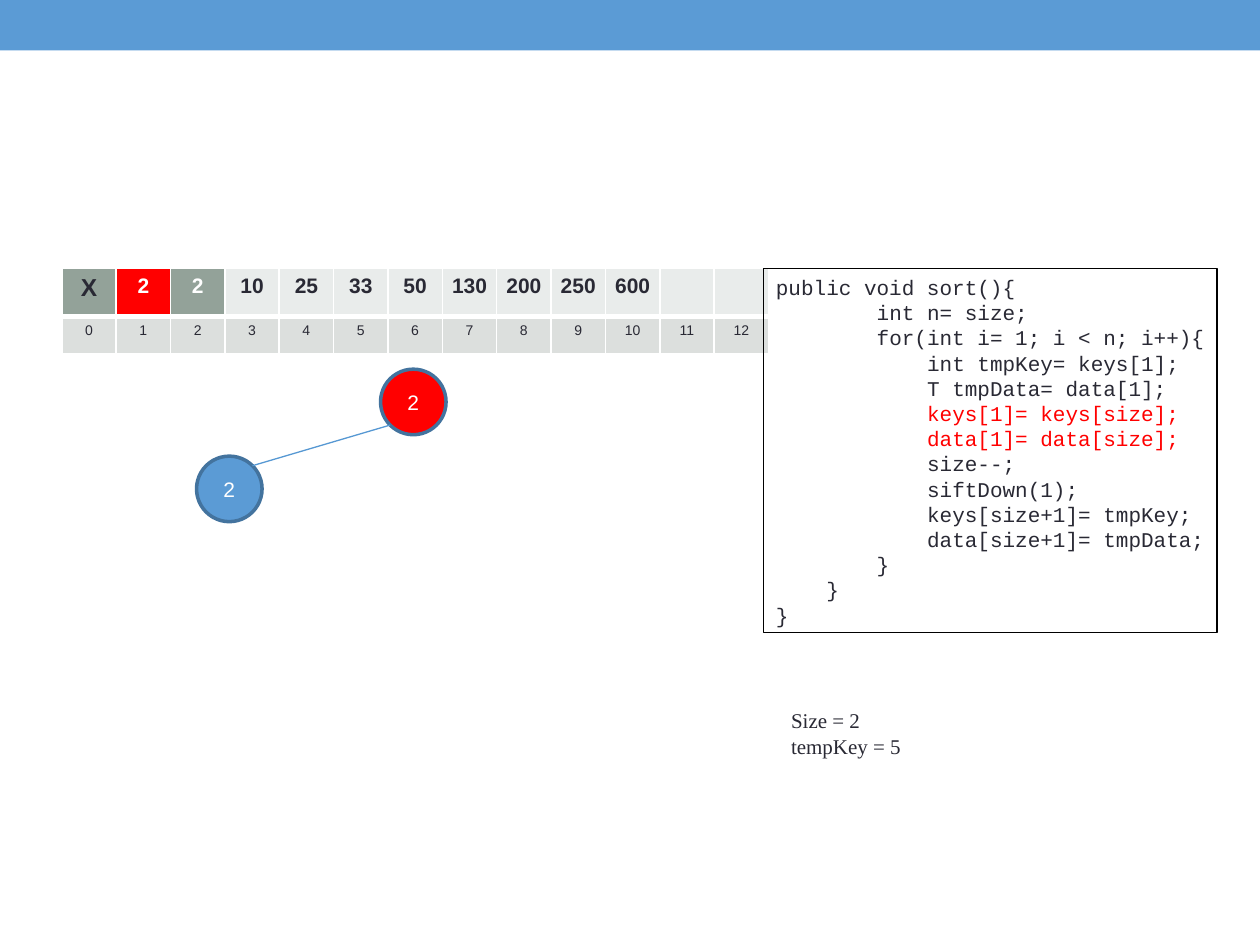
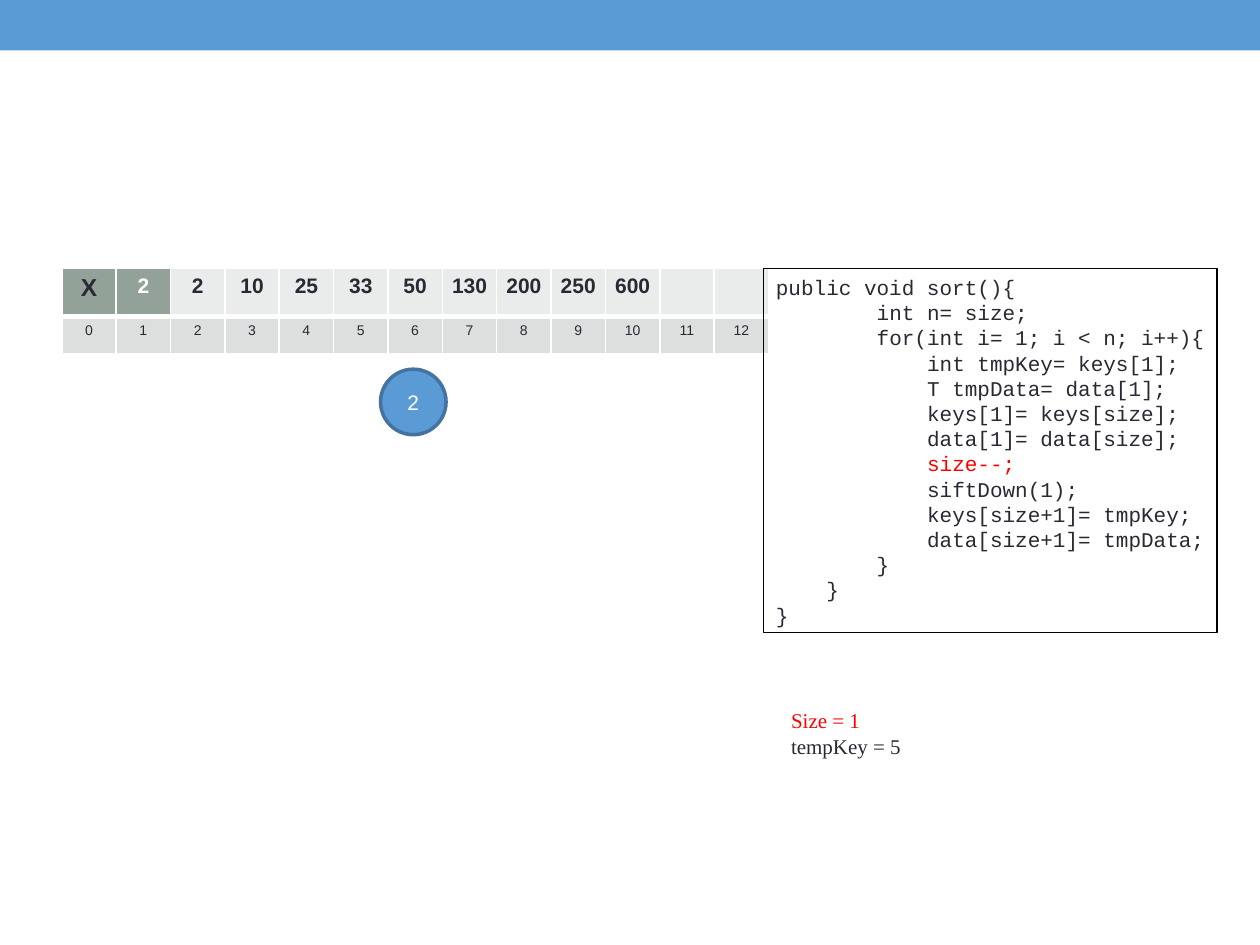
"""Build two slides that step through the last swap of a heap sort."""
import dataclasses
import math

import lxml.etree
import pptx
import pptx.dml.color
import pptx.enum.shapes
import pptx.enum.text
import pptx.oxml.ns
import pptx.util

SHAPE = pptx.enum.shapes.MSO_SHAPE
ALIGN = pptx.enum.text.PP_ALIGN
MID = pptx.enum.text.MSO_ANCHOR.MIDDLE
TOP = pptx.enum.text.MSO_ANCHOR.TOP


@dataclasses.dataclass(frozen=True)
class Theme:
    blue: str = "5B9BD5"
    rim: str = "43739E"
    edge: str = "5698D3"
    red: str = "FF0000"
    ink: str = "292934"
    white: str = "FFFFFF"
    black: str = "000000"
    heap: str = "93A299"
    pale: str = "E9ECEB"
    grey: str = "DCDFDD"
    sans: str = "Arial"
    mono: str = "Courier New"
    serif: str = "Times New Roman"
    large: float = 14
    base: float = 12
    small: float = 8
    lead: float = 14.4
    thin: float = 0.75
    rule: float = 0.96
    thick: float = 3


COLS, ROWS = 100, 75
NODE = 5.2
ROOT = (30.2, 29.3)
CHILD = (15.6, 36.2)
KEYS = "X 2 2 10 25 33 50 130 200 250 600".split() + ["", ""]
CODE = [
    (0, "public void sort(){"),
    (8, "int n= size;"),
    (8, "for(int i= 1; i < n; i++){"),
    (12, "int tmpKey= keys[1];"),
    (12, "T tmpData= data[1];"),
    (12, "keys[1]= keys[size];"),
    (12, "data[1]= data[size];"),
    (12, "size--;"),
    (12, "siftDown(1);"),
    (12, "keys[size+1]= tmpKey;"),
    (12, "data[size+1]= tmpData;"),
    (8, "}"),
    (4, "}"),
    (0, "}"),
]


def tint(code):
    return pptx.dml.color.RGBColor.from_string(code)


class Deck:
    def __init__(self, theme):
        self.theme = theme
        self.show = pptx.Presentation()
        self.show.slide_width = pptx.util.Inches(10)
        self.show.slide_height = pptx.util.Inches(7.5)
        self.slide = None

    def grid(self, *spans):
        units = self.show.slide_width / COLS, self.show.slide_height / ROWS
        return [round(span * units[i % 2]) for i, span in enumerate(spans)]

    def page(self):
        self.slide = self.show.slides.add_slide(self.show.slide_layouts[6])
        self.shape(SHAPE.RECTANGLE, (0, 0, COLS, 4), self.theme.blue)

    def shape(self, kind, spot, fill=None, line=None, width=0):
        item = self.slide.shapes.add_shape(kind, *self.grid(*spot))
        item.shadow.inherit = False
        if fill:
            item.fill.solid()
            item.fill.fore_color.rgb = tint(fill)
        else:
            item.fill.background()
        if line:
            item.line.color.rgb = tint(line)
            item.line.width = pptx.util.Pt(width)
        else:
            item.line.fill.background()
        return item

    def run(self, para, text, face, size, hue, bold=False):
        run = para.add_run()
        run.text = text
        run.font.name = face
        run.font.size = pptx.util.Pt(size)
        run.font.bold = bold
        run.font.color.rgb = tint(hue)

    def lines(self, item, rows, face, hot):
        frame = item.text_frame
        frame.word_wrap = True
        frame.margin_right = 0
        frame.vertical_anchor = TOP
        for i, (dent, text) in enumerate(rows):
            para = frame.add_paragraph() if i else frame.paragraphs[0]
            para.alignment = ALIGN.LEFT
            para.line_spacing = pptx.util.Pt(self.theme.lead)
            para._p.get_or_add_pPr().set("marL", str(self.grid(dent)[0]))
            hue = self.theme.red if i in hot else self.theme.ink
            self.run(para, text, face, self.theme.base, hue)

    def code(self, hot):
        item = self.shape(SHAPE.RECTANGLE, (60.6, 21.3, 36, 28.9),
                          line=self.theme.black, width=self.theme.thin)
        self.lines(item, CODE, self.theme.mono, hot)

    def note(self, size, hot):
        item = self.slide.shapes.add_textbox(*self.grid(61.8, 55.7, 10.7, 5))
        rows = [(0, f"Size = {size}"), (0, "tempKey = 5")]
        self.lines(item, rows, self.theme.serif, hot)

    def node(self, spot, text, fill):
        item = self.shape(SHAPE.OVAL, (*spot, NODE, NODE), fill,
                          self.theme.rim, 2)
        item.text_frame.vertical_anchor = MID
        para = item.text_frame.paragraphs[0]
        para.alignment = ALIGN.CENTER
        self.run(para, text, self.theme.sans, self.theme.base, self.theme.white)

    def link(self, high, low):
        mid, reach = NODE / 2, NODE / 2 * math.sqrt(0.5)
        ends = self.grid(high[0] + mid - reach, high[1] + mid + reach,
                         low[0] + mid + reach, low[1] + mid - reach)
        kind = pptx.enum.shapes.MSO_CONNECTOR.STRAIGHT
        item = self.slide.shapes.add_connector(kind, *ends)
        item.line.color.rgb = tint(self.theme.edge)
        item.line.width = pptx.util.Pt(self.theme.thin)
        lxml.etree.SubElement(item._element.spPr,
                              pptx.oxml.ns.qn("a:effectLst"))

    def cell(self, cell, text, fill, size, hue, bold, rules):
        name = pptx.oxml.ns.qn
        props = cell._tc.get_or_add_tcPr()
        for side, width in zip("LRTB", rules):
            line = lxml.etree.SubElement(props, name(f"a:ln{side}"),
                                         w=str(pptx.util.Pt(width)))
            paint = lxml.etree.SubElement(line, name("a:solidFill"))
            lxml.etree.SubElement(paint, name("a:srgbClr"),
                                  val=self.theme.white)
        cell.fill.solid()
        cell.fill.fore_color.rgb = tint(fill)
        cell.margin_left = cell.margin_right = pptx.util.Inches(0.07)
        cell.margin_top = cell.margin_bottom = pptx.util.Inches(0.05)
        para = cell.text_frame.paragraphs[0]
        para.alignment = ALIGN.CENTER
        self.run(para, text, self.theme.sans, size, hue, bold)

    def keys(self, fills):
        look = self.theme
        spot = self.grid(4.9, 21.3, 56.1, 6.8)
        table = self.slide.shapes.add_table(2, len(KEYS), *spot).table
        table.first_row = table.horz_banding = False
        for row, high in zip(table.rows, self.grid(3.8, 3)):
            row.height = high
        for i, key in enumerate(KEYS):
            table.columns[i].width = round(spot[2] / len(KEYS))
            hue = look.white if i and i in fills else look.ink
            size = look.base if i else look.large
            self.cell(table.cell(0, i), key, fills.get(i, look.pale), size,
                      hue, True, [look.rule] * 3 + [look.thick])
            self.cell(table.cell(1, i), str(i), look.grey, look.small,
                      look.ink, False,
                      [look.rule, look.rule, look.thick, look.rule])


def main():
    look = Theme()
    deck = Deck(look)

    deck.page()
    deck.keys({0: look.heap, 1: look.red, 2: look.heap})
    deck.node(ROOT, "2", look.red)
    deck.node(CHILD, "2", look.blue)
    deck.link(ROOT, CHILD)
    deck.code({5, 6})
    deck.note(2, set())

    deck.page()
    deck.keys({0: look.heap, 1: look.heap})
    deck.node(ROOT, "2", look.blue)
    deck.code({7})
    deck.note(1, {0})

    deck.show.save("out.pptx")


if __name__ == "__main__":
    main()
